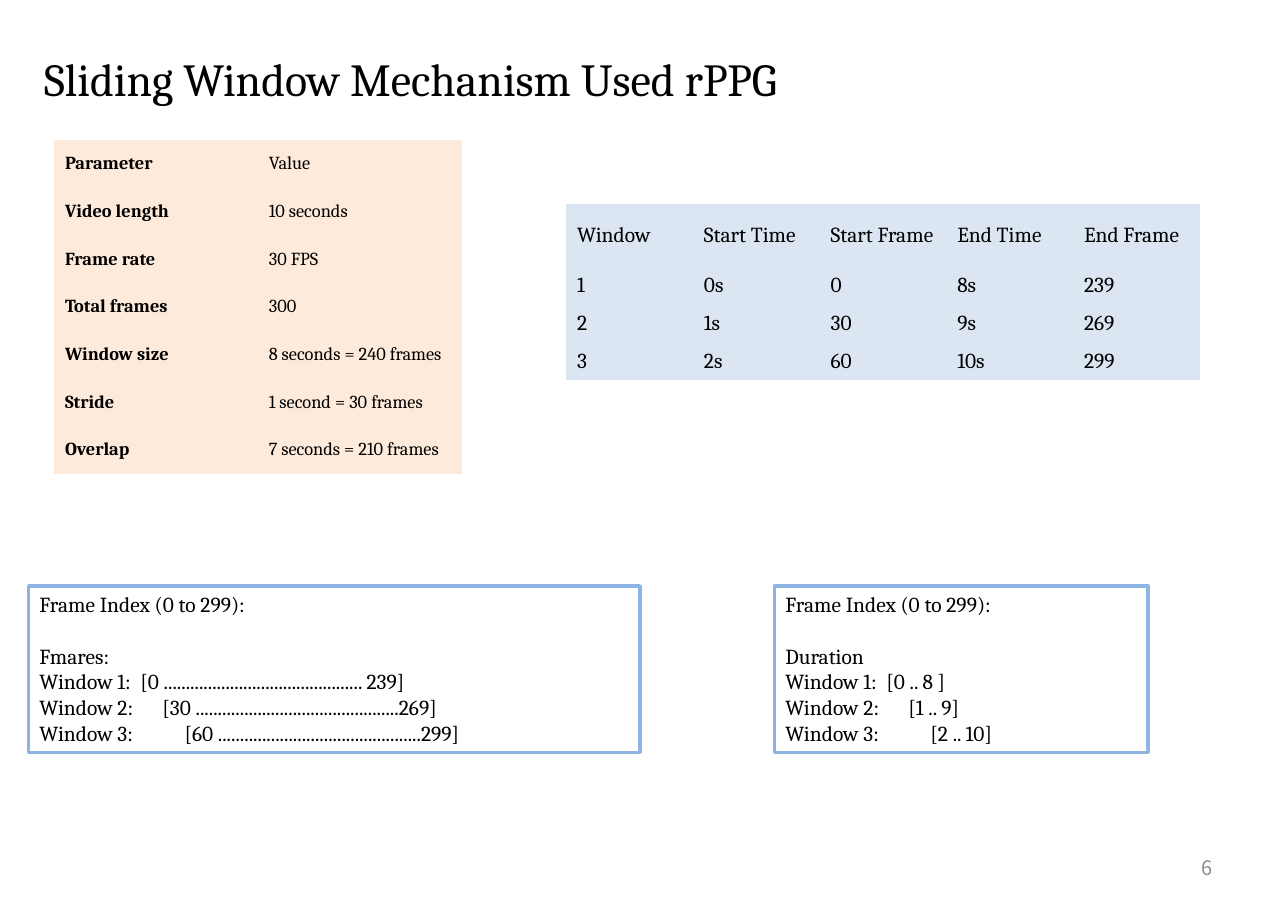
import pptx
import pptx.dml.color
import pptx.enum.shapes
import pptx.enum.text
import pptx.util
from lxml import etree

Pt = pptx.util.Pt
ALIGN = pptx.enum.text.PP_ALIGN
ANCHOR = pptx.enum.text.MSO_ANCHOR
NS = "http://schemas.openxmlformats.org/drawingml/2006/main"
PLAIN_TABLE_STYLE = "{2D5ABB26-0587-4C30-8999-92F81FD0307C}"

TITLE = "Sliding Window Mechanism Used rPPG"
PAGE = "6"
PARAMETERS = [
    ("Parameter", "Value"),
    ("Video length", "10 seconds"),
    ("Frame rate", "30 FPS"),
    ("Total frames", "300"),
    ("Window size", "8 seconds = 240 frames"),
    ("Stride", "1 second = 30 frames"),
    ("Overlap", "7 seconds = 210 frames"),
]
WINDOWS = [
    ("Window", "Start Time", "Start Frame", "End Time", "End Frame"),
    ("1", "0s", "0", "8s", "239"),
    ("2", "1s", "30", "9s", "269"),
    ("3", "2s", "60", "10s", "299"),
]
INDEX_HEADING = "Frame Index (0 to 299):"
FRAME_RANGES = [
    "[0 ............................................. 239]",
    "[30 ..............................................269]",
    "[60 ..............................................299]",
]
TIME_RANGES = ["[0 .. 8 ]", "[1 .. 9]", "[2 .. 10]"]

FIRST_TAB, TAB_STEP = 66, 14.4
INDEX_TOP, INDEX_HEIGHT, BLANK_LINE = 383, 108.7, 16.8


def rgb(value):
    return pptx.dml.color.RGBColor.from_string(value)


def set_font(p, size, color="000000", name="Cambria", bold=False):
    p.font.size = Pt(size)
    p.font.name = name
    p.font.bold = bold
    p.font.color.rgb = rgb(color)


def add_grid(s, rows, left, top, col_width, heights, size, fill, bold_first=False):
    """Add a borderless table with one fill colour."""
    cols = len(rows[0])
    frame = s.shapes.add_table(len(rows), cols, Pt(left), Pt(top),
                               Pt(col_width * cols), Pt(sum(heights)))
    table = frame.table
    table.first_row = table.horz_banding = False
    table._tbl.tblPr.find(f"{{{NS}}}tableStyleId").text = PLAIN_TABLE_STYLE
    for column in table.columns:
        column.width = Pt(col_width)
    for r, (values, height) in enumerate(zip(rows, heights)):
        table.rows[r].height = Pt(height)
        for c, value in enumerate(values):
            cell = table.cell(r, c)
            cell.text = value
            cell.vertical_anchor = ANCHOR.MIDDLE
            cell.fill.solid()
            cell.fill.fore_color.rgb = rgb(fill)
            set_font(cell.text_frame.paragraphs[0], size, bold=bold_first and c == 0)


def add_tab_stop(p, position):
    tabs = etree.SubElement(p._p.get_or_add_pPr(), f"{{{NS}}}tabLst")
    etree.SubElement(tabs, f"{{{NS}}}tab", pos=str(Pt(position)), algn="l")


def add_index_box(s, left, width, label, ranges):
    """Add an outlined box whose ranges step right by one stride per window."""
    sp = s.shapes.add_shape(pptx.enum.shapes.MSO_SHAPE.RECTANGLE, Pt(left),
                            Pt(INDEX_TOP), Pt(width), Pt(INDEX_HEIGHT))
    sp.shadow.inherit = False
    sp.fill.background()
    sp.line.color.rgb = rgb("8EB4E3")
    sp.line.width = Pt(2.25)
    tf = sp.text_frame
    tf.word_wrap = True
    tf.vertical_anchor = ANCHOR.TOP
    lines = [f"Window {i}:\t{text}" for i, text in enumerate(ranges, 1)]
    tf.text = "\n".join([INDEX_HEADING, label, *lines])
    for p in tf.paragraphs:
        p.alignment = ALIGN.LEFT
        set_font(p, 14)
    tf.paragraphs[1].space_before = Pt(BLANK_LINE)
    for i, p in enumerate(tf.paragraphs[2:]):
        add_tab_stop(p, FIRST_TAB + i * TAB_STEP)


def add_title(s):
    sp = s.shapes.title
    sp.left, sp.top, sp.width, sp.height = Pt(21.6), Pt(11.5), Pt(656), Pt(56.2)
    tf = sp.text_frame
    tf.text = TITLE
    tf.auto_size = pptx.enum.text.MSO_AUTO_SIZE.NONE
    tf.vertical_anchor = ANCHOR.TOP
    p = tf.paragraphs[0]
    p.alignment = ALIGN.LEFT
    p.line_spacing = 1.5
    set_font(p, 30)


def add_page_number(s):
    sp = s.shapes.add_textbox(Pt(603.4), Pt(551.5), Pt(196.6), Pt(31.7))
    tf = sp.text_frame
    tf.word_wrap = True
    tf.text = PAGE
    tf.vertical_anchor = ANCHOR.MIDDLE
    tf.margin_left = tf.margin_right = Pt(7.9)
    p = tf.paragraphs[0]
    p.alignment = ALIGN.RIGHT
    set_font(p, 13, "8C8C8C", "Noto Sans CJK KR")


def main():
    prs = pptx.Presentation()
    prs.slide_width, prs.slide_height = Pt(841.68), Pt(595.44)
    s = prs.slides.add_slide(prs.slide_layouts.get_by_name("Title Only"))
    add_title(s)
    add_page_number(s)
    add_grid(s, PARAMETERS, 35.3, 91.4, 133.2, [31.2] * 7, 12, "FDEADA", bold_first=True)
    add_grid(s, WINDOWS, 370, 133.4, 82.8, [40.8] + [24.8] * 3, 14, "DCE6F2")
    add_index_box(s, 18.7, 399.6, "Fmares:", FRAME_RANGES)
    add_index_box(s, 506.2, 244, "Duration", TIME_RANGES)
    prs.save("out.pptx")


if __name__ == "__main__":
    main()
